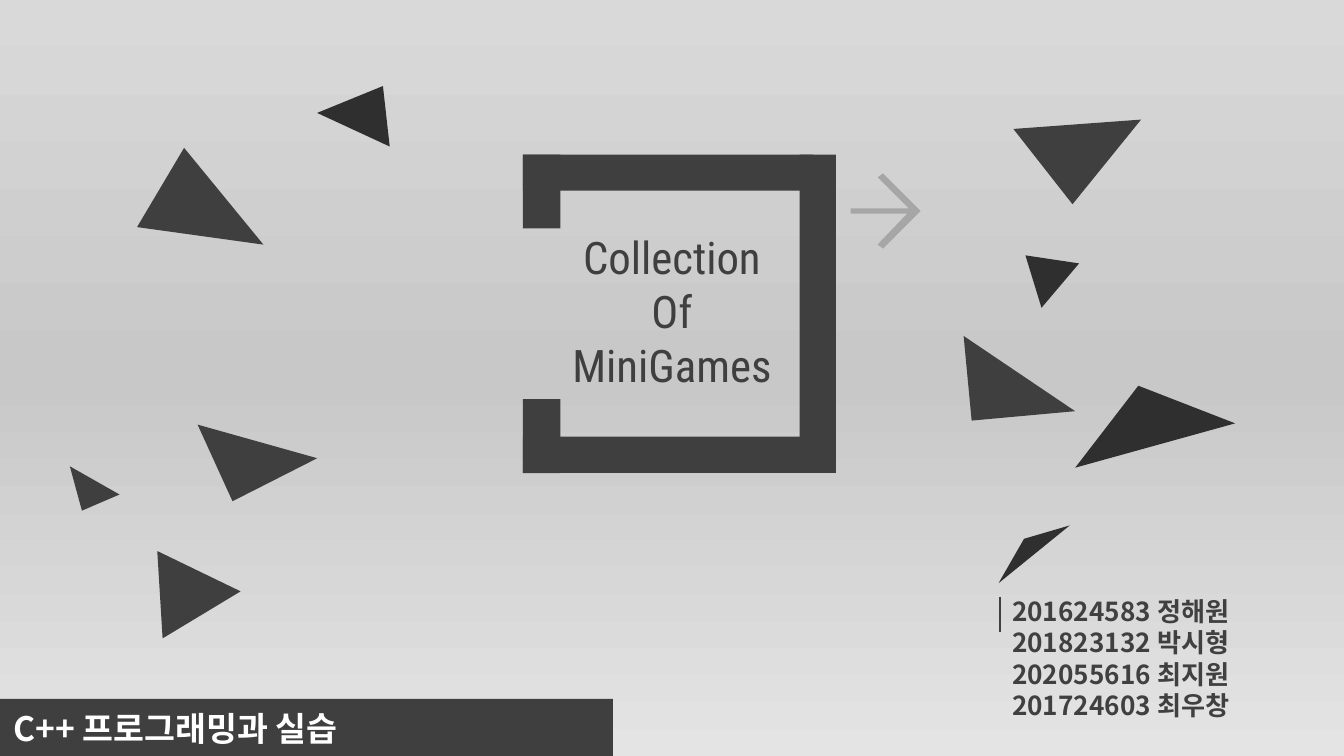
from copy import deepcopy

from lxml.etree import SubElement
from pptx import Presentation
from pptx.dml.color import RGBColor
from pptx.enum.shapes import MSO_CONNECTOR, MSO_SHAPE
from pptx.enum.text import MSO_ANCHOR, PP_ALIGN
from pptx.oxml.ns import qn
from pptx.util import Inches, Pt

COLORS = {
    "dark": "3F3F3F", "darker": "2F2F2F", "names": "404040",
    "arrow": "A6A6A6", "white": "FFFFFF",
    "top": "D9D9D9", "middle": "C8C8C8", "bottom": "E4E4E4",
}
LATIN, KOREAN = "Roboto Condensed", "Noto Sans CJK KR"

TRIANGLES = [
    ("dark", [(1.47, 3.16), (2.36, 3.41), (1.73, 3.73)]),
    ("dark", [(1.17, 4.1), (1.79, 4.4), (1.21, 4.75)]),
    ("dark", [(0.52, 3.47), (0.61, 3.8), (0.89, 3.68)]),
    ("darker", [(7.62, 4.01), (7.43, 4.34), (7.96, 3.91)]),
    ("darker", [(2.85, 0.64), (2.9, 1.09), (2.36, 0.84)]),
    ("dark", [(7.54, 0.96), (8.49, 0.89), (7.98, 1.52)]),
    ("darker", [(7.63, 1.9), (8.03, 1.96), (7.75, 2.29)]),
    ("dark", [(7.17, 2.5), (7.23, 3.13), (8, 3.06)]),
    ("darker", [(8.47, 2.87), (8, 3.48), (9.19, 3.15)]),
    ("dark", [(1.02, 1.69), (1.37, 1.1), (1.96, 1.82)]),
]
ARROW = [(0.2, 0.03), (0.24, 0), (0.52, 0.28), (0.24, 0.56), (0.2, 0.53),
         (0.42, 0.3), (0, 0.3), (0, 0.26), (0.43, 0.26)]


def color(name):
    return RGBColor.from_string(COLORS[name])


def paint(shape, name):
    shape.fill.solid()
    shape.fill.fore_color.rgb = color(name)
    shape.line.fill.background()
    shape.shadow.inherit = False


def add_bar(page, left, top, width, height, rotation=0):
    bar = page.shapes.add_shape(MSO_SHAPE.RECTANGLE, Inches(left), Inches(top),
                                Inches(width), Inches(height))
    bar.rotation = rotation
    paint(bar, "dark")


def add_outline(page, points, name, left=0, top=0):
    corners = [(Inches(left + x), Inches(top + y)) for x, y in points]
    builder = page.shapes.build_freeform(*corners[0])
    builder.add_line_segments(corners[1:], close=True)
    paint(builder.convert_to_shape(), name)


def place(shape, left, top, width, height):
    shape.left, shape.top = Inches(left), Inches(top)
    shape.width, shape.height = Inches(width), Inches(height)


def write(shape, lines, size, font, name, bold, align, margins):
    frame = shape.text_frame
    frame.word_wrap = True
    frame.vertical_anchor = MSO_ANCHOR.TOP
    frame.margin_left = frame.margin_right = Inches(margins[0])
    frame.margin_top = frame.margin_bottom = Inches(margins[1])
    frame.text = "\n".join(lines)
    for para in frame.paragraphs:
        para.alignment = align
        para.space_before = Pt(0)
        para.font.size, para.font.bold = Pt(size), bold
        para.font.color.rgb = color(name)
        para.font.name = font
        # Korean letters take the East Asian typeface
        properties = para._p.pPr.find(qn("a:defRPr"))
        SubElement(properties, qn("a:ea")).set("typeface", font)


def fill_background(page):
    fill = page.background.fill
    fill.gradient()
    fill.gradient_angle = 270
    stop_list = page.element.find(".//" + qn("a:gsLst"))
    stop_list.append(deepcopy(stop_list[0]))
    for index, name in enumerate(("top", "middle", "bottom")):
        stop = fill.gradient_stops[index]
        stop.position = index / 2
        stop.color.rgb = color(name)


def add_title_frame(page, left, top, width, height):
    thick, tip = 0.27, 0.28
    # Open bracket: two left ends, top and bottom bars, upright right bar
    add_bar(page, left, top, tip, 0.55)
    add_bar(page, left, top + height - 0.55, tip, 0.55)
    add_bar(page, left, top, 2.16, thick)
    add_bar(page, left, top + height - thick, 2.16, thick)
    add_bar(page, left + width - (height + thick) / 2,
            top + (height - thick) / 2, height, thick, rotation=90)
    add_outline(page, ARROW, "arrow", left + width + 0.11, top + 0.14)

    title = page.shapes.title
    place(title, left - 0.36, top + 0.56, 2.94, 1.2)
    write(title, ["Collection", "Of", "MiniGames"], 24, LATIN, "dark",
          False, PP_ALIGN.CENTER, (0, 0))


def add_members(page, left, top, width, height):
    rule = page.shapes.add_connector(
        MSO_CONNECTOR.STRAIGHT, Inches(left - 0.02), Inches(top + 0.05),
        Inches(left - 0.02), Inches(top + 0.31))
    rule.line.color.rgb = color("names")
    rule.line.width = Pt(0.75)
    SubElement(rule.element.spPr, qn("a:effectLst"))

    members = page.placeholders[1]
    place(members, left, top, width, height)
    write(members, ["201624583 정해원", "201823132 박시형",
                    "202055616 최지원", "201724603 최우창"],
          14, KOREAN, "names", True, PP_ALIGN.LEFT, (0.07, 0.04))


def add_course_bar(page, left, top, width, height):
    add_bar(page, left, top, width, height)
    course = page.shapes.add_textbox(Inches(left + 0.03), Inches(top + 0.02),
                                     Inches(width - 0.06), Inches(0.4))
    write(course, ["C++ 프로그래밍과 실습"], 18, KOREAN, "white", True,
          PP_ALIGN.LEFT, (0.1, 0.05))


def main():
    deck = Presentation()
    # Widescreen page, 16 to 9
    deck.slide_width = Inches(10)
    deck.slide_height = deck.slide_width * 9 // 16
    page = deck.slides.add_slide(deck.slide_layouts[0])
    fill_background(page)
    add_course_bar(page, -0.03, 5.2, 4.59, 0.45)
    add_title_frame(page, 3.89, 1.15, 2.33, 2.37)
    add_members(page, 7.46, 4.39, 2.54, 1.24)
    # Scattered triangles
    for name, points in TRIANGLES:
        add_outline(page, points, name)
    deck.save("out.pptx")


if __name__ == "__main__":
    main()
